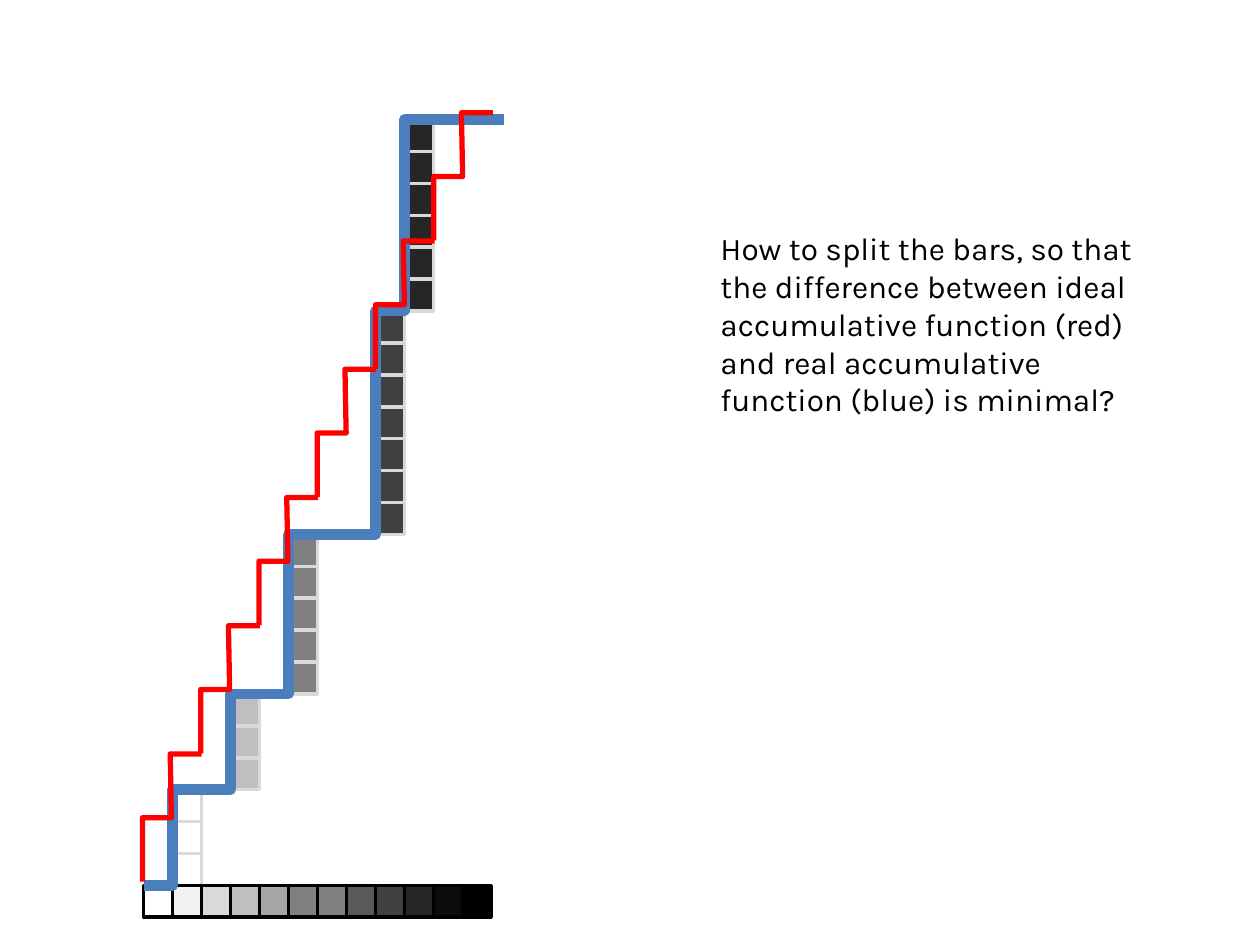
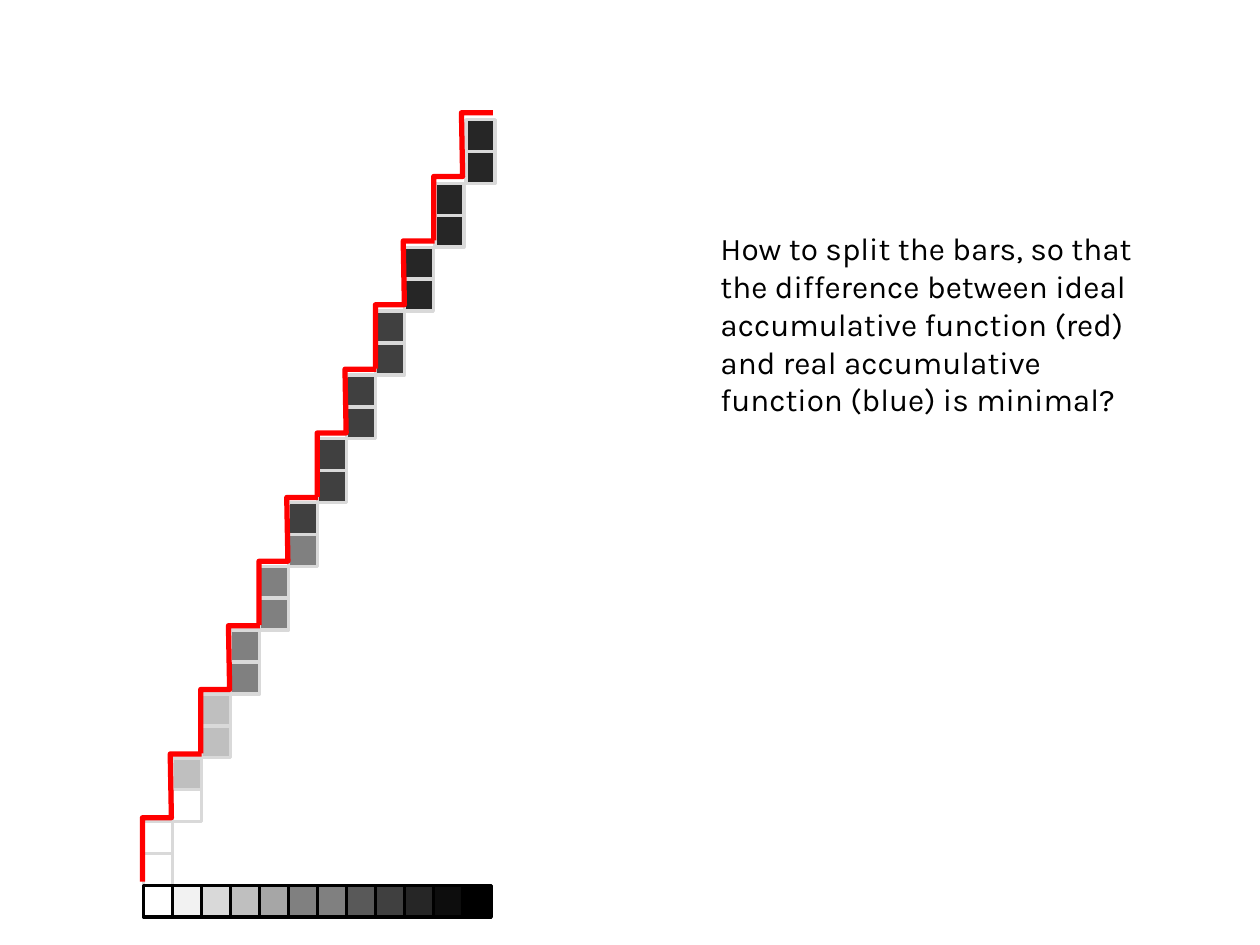
from collections import namedtuple

from lxml import etree
from pptx import Presentation
from pptx.dml.color import RGBColor
from pptx.enum.shapes import MSO_SHAPE as Preset
from pptx.enum.text import MSO_AUTO_SIZE as AutoSize
from pptx.oxml.ns import qn
from pptx.util import Inches, Pt

Box = namedtuple("Box", "left top width height")

COLORS = {
    "ideal": "FF0000",
    "real": "4B7EBC",
    "cell_edge": "D9D9D9",
    "strip_edge": "000000",
    "text": "000000",
}
FONT = "Karla"
QUESTION = (
    "How to split the bars, so that the difference between ideal "
    "accumulative function (red) and real accumulative function (blue) "
    "is minimal?"
)

# Shared regions, in inches
CHART = Box(1.14, 0.95, 2.76, 6.33)
QUESTION_BOX = Box(5.62, 1.77, 3.54, 1.62)

# The chart grid: one strip row below the stacked levels
STRIP = ["FFFFFF", "F2F2F2", "D9D9D9", "BFBFBF", "A6A6A6", "808080",
         "808080", "595959", "404040", "262626", "0D0D0D", "000000"]
Bar = namedtuple("Bar", "column count shade")
BARS = [Bar(1, 3, "FFFFFF"), Bar(3, 3, "BFBFBF"), Bar(5, 5, "808080"),
        Bar(8, 7, "404040"), Bar(9, 6, "262626")]
COLUMNS = len(STRIP)
LEVELS = sum(bar.count for bar in BARS)
CELLS_PER_STEP = LEVELS // COLUMNS

# Ideal staircase: one double step, in columns and levels, and its pitch
DOUBLE_STEP = [(0, 0), (0, 2), (1, 2), (0.96, 4), (2.04, 4)]
STEP_COLUMNS, STEP_LEVELS = 2.01, 4.02
IDEAL_START = (-0.04, 0.12)
REAL_END = 12.43
SPLIT_NUDGES = {10: 0.05, 11: 0.12}


def grid_point(box, column, level):
    """Place a column and a level, counted up from the top of the strip."""
    row_height = box.height / (LEVELS + 1)
    return (Inches(box.left + column * box.width / COLUMNS),
            Inches(box.top + (LEVELS - level) * row_height))


def style_line(shape, color, width):
    shape.shadow.inherit = False
    shape.line.color.rgb = RGBColor.from_string(color)
    shape.line.width = Pt(width)
    outline = shape.line._get_or_add_ln()
    etree.SubElement(outline, qn("a:round"))


def add_cell(page, box, column, level, shade, edge):
    left, top = grid_point(box, column, level)
    right, bottom = grid_point(box, column + 1, level - 1)
    cell = page.shapes.add_shape(Preset.RECTANGLE, left, top,
                                 right - left, bottom - top)
    cell.fill.solid()
    cell.fill.fore_color.rgb = RGBColor.from_string(shade)
    style_line(cell, COLORS[edge], 2)


def add_path(shapes, box, steps, color, width):
    points = [grid_point(box, column, level) for column, level in steps]
    builder = shapes.build_freeform(*points[0])
    builder.add_line_segments(points[1:], close=False)
    path = builder.convert_to_shape()
    path.fill.background()
    style_line(path, COLORS[color], width)


def add_strip(page, box):
    for column, shade in enumerate(STRIP):
        add_cell(page, box, column, 0, shade, "strip_edge")


def add_bars(page, box, is_split):
    """Stack the cells by bar, or spread them evenly over all columns."""
    level = 0
    for bar in BARS:
        for _ in range(bar.count):
            column = bar.column
            if is_split:
                column = level // CELLS_PER_STEP
                column += SPLIT_NUDGES.get(column, 0)
            level += 1
            add_cell(page, box, column, level, bar.shade, "cell_edge")


def add_real_function(page, box):
    level, steps = 0, [(0, 0)]
    for bar in BARS:
        steps.append((bar.column, level))
        level += bar.count
        steps.append((bar.column, level))
    steps.append((REAL_END, level))
    add_path(page.shapes, box, steps, "real", 6)


def add_ideal_function(page, box):
    group = page.shapes.add_group_shape()
    for index in range(COLUMNS // 2):
        column = IDEAL_START[0] + index * STEP_COLUMNS
        level = IDEAL_START[1] + index * STEP_LEVELS
        steps = [(column + right, level + up) for right, up in DOUBLE_STEP]
        add_path(group.shapes, box, steps, "ideal", 3)


def add_question(page, box):
    frame = page.shapes.add_textbox(*map(Inches, box)).text_frame
    frame.word_wrap = True
    frame.auto_size = AutoSize.SHAPE_TO_FIT_TEXT
    para = frame.paragraphs[0]
    span = para.add_run()
    span.text = QUESTION
    span.font.name = FONT
    span.font.size = Pt(18)
    span.font.color.rgb = RGBColor.from_string(COLORS["text"])


def add_histogram_page(deck, is_split):
    page = deck.slides.add_slide(deck.slide_layouts[6])
    add_bars(page, CHART, is_split)
    add_strip(page, CHART)
    if not is_split:
        add_real_function(page, CHART)
    add_ideal_function(page, CHART)
    add_question(page, QUESTION_BOX)


def main():
    deck = Presentation()
    deck.slide_width, deck.slide_height = Inches(10), Inches(7.5)
    for is_split in (False, True):
        add_histogram_page(deck, is_split)
    deck.save("out.pptx")


if __name__ == "__main__":
    main()
